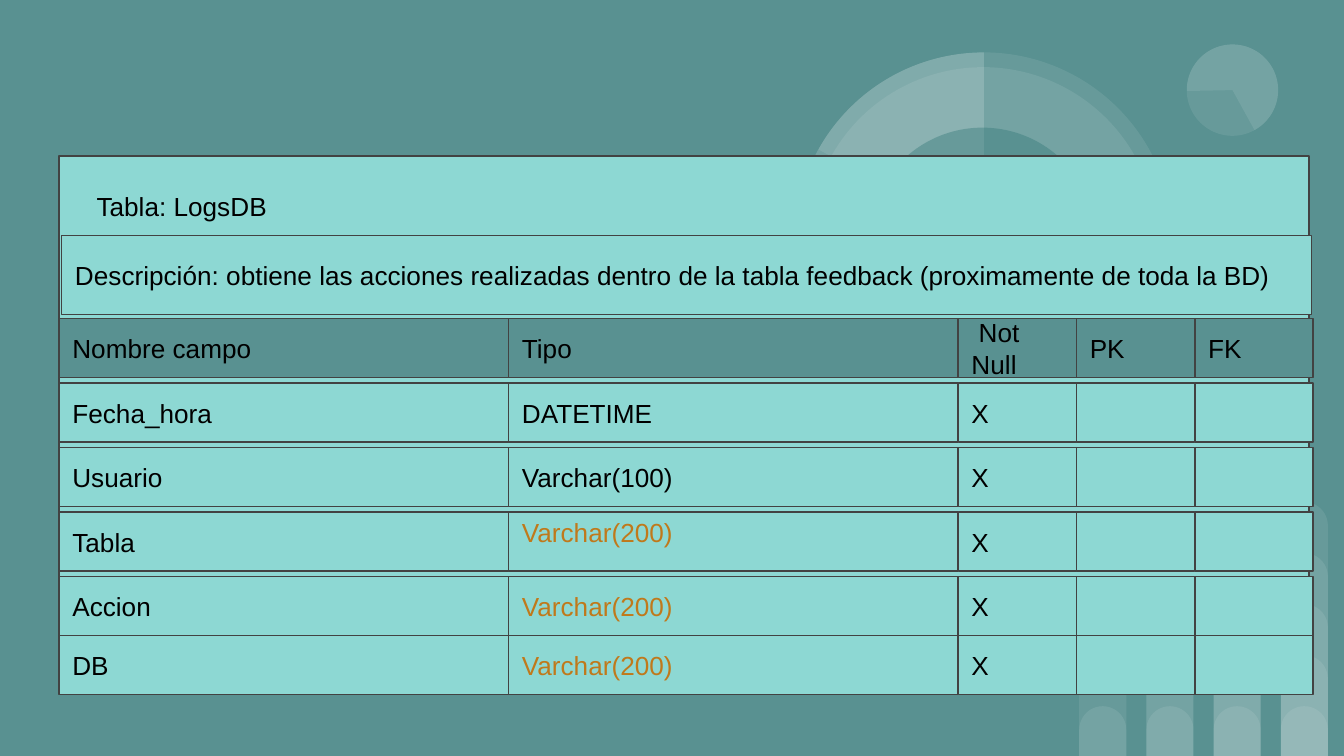
from lxml import etree
from pptx import Presentation
from pptx.dml.color import RGBColor
from pptx.enum.shapes import MSO_SHAPE
from pptx.enum.text import MSO_ANCHOR, MSO_AUTO_SIZE, PP_ALIGN
from pptx.oxml.ns import qn
from pptx.util import Inches, Pt

RECT = MSO_SHAPE.RECTANGLE
OVAL = MSO_SHAPE.OVAL
PIE = MSO_SHAPE.PIE
ROUND_TOP = MSO_SHAPE.ROUND_2_SAME_RECTANGLE
TOP, MIDDLE = MSO_ANCHOR.TOP, MSO_ANCHOR.MIDDLE
LEFT = PP_ALIGN.LEFT
NO_AUTOFIT, GROW = MSO_AUTO_SIZE.NONE, MSO_AUTO_SIZE.SHAPE_TO_FIT_TEXT

COLORS = {
    "background": "599191",
    "panel": "8DD8D3",
    "border": "424242",
    "text": "000000",
    "accent": "C0791B",
    "glow": "FFFFFF",
}

slide_width = 10
slide_height = slide_width * 9 / 16
prs = Presentation()
prs.slide_width = Inches(slide_width)
prs.slide_height = Inches(slide_height)
slide = prs.slides.add_slide(prs.slide_layouts[6])
slide.background.fill.solid()
slide.background.fill.fore_color.rgb = RGBColor.from_string(COLORS["background"])


def add_box(kind, left, top, width, height, fill="panel", border=None,
            opacity=None, adjust=(), rotation=0):
    box = slide.shapes.add_shape(
        kind, Inches(left), Inches(top), Inches(width), Inches(height))
    box.shadow.inherit = False
    box.rotation = rotation
    for index, value in enumerate(adjust):
        box.adjustments[index] = value
    box.fill.solid()
    box.fill.fore_color.rgb = RGBColor.from_string(COLORS[fill])
    if opacity:
        color = box.fill._xPr.find(qn("a:solidFill"))[0]
        etree.SubElement(color, qn("a:alpha"), val=str(opacity * 1000))
    if border:
        box.line.color.rgb = RGBColor.from_string(COLORS[border])
        box.line.width = Pt(0.75)
    else:
        box.line.fill.background()
    return box


def write(box, text, size=14, color="text", anchor=MIDDLE, inset_top=0.1,
          fit=NO_AUTOFIT):
    frame = box.text_frame
    frame.word_wrap = True
    frame.auto_size = fit
    frame.vertical_anchor = anchor
    frame.margin_left = frame.margin_right = frame.margin_bottom = Inches(0.1)
    frame.margin_top = Inches(inset_top)
    paragraph = frame.paragraphs[0]
    paragraph.alignment = LEFT
    run = paragraph.add_run()
    run.text = text
    run.font.name = "Arial"
    run.font.size = Pt(size)
    run.font.color.rgb = RGBColor.from_string(COLORS[color])


for column in range(4):
    for level in range(column + 2):
        bar_height = 0.37 + 0.38 * level
        add_box(ROUND_TOP, 8.03 + 0.5 * column, slide_height - bar_height,
                0.35, bar_height, fill="glow", opacity=9, adjust=(0.5, 0))

rings = [
    (OVAL, 8.83, 0.33, 0.68, "glow", 9, (), 215.9),
    (PIE, 8.83, 0.33, 0.68, "glow", 9, (193.77, 123.14), 215.9),
    (OVAL, 5.91, 0.39, 2.82, "glow", 9, (), 0),
    (OVAL, 6.02, 0.5, 2.59, "glow", 9, (), 34.1),
    (PIE, 5.91, 0.39, 2.82, "glow", 9, (88.01, 162), 0),
    (OVAL, 6.46, 0.95, 1.7, "background", None, (), 34.1),
    (PIE, 5.91, 0.39, 2.82, "glow", 9, (125.54, 162), 0),
]
for kind, left, top, diameter, fill, opacity, adjust, rotation in rings:
    add_box(kind, left, top, diameter, diameter, fill=fill, opacity=opacity,
            adjust=adjust, rotation=rotation)

add_box(RECT, 0.44, 1.16, 9.3, 3.9, border="border")

table_name = slide.shapes.add_textbox(
    Inches(0.62), Inches(1.32), Inches(8.03), Inches(0.44))
write(table_name, "Tabla: LogsDB", anchor=TOP, fit=GROW)

first_left, flags_left, flag_width = 0.44, 7.13, 0.88
wide = (flags_left - first_left) / 2
columns = [(first_left + wide * i, wide) for i in range(2)]
columns += [(flags_left + flag_width * i, flag_width) for i in range(3)]

accent = {"color": "accent"}
raised = {"color": "accent", "anchor": TOP, "inset_top": 0.03}
header = (2.37, ["Nombre campo", "Tipo", " Not Null", "PK", "FK"], "background", {})
description = (1.75, "Descripción: obtiene las acciones realizadas dentro de la "
                     "tabla feedback (proximamente de toda la BD)")
rows = [
    header,
    (2.85, ["Fecha_hora", "DATETIME", "X", "", ""], "panel", {}),
    (3.33, ["Usuario", "Varchar(100)", "X", "", ""], "panel", {}),
    (3.81, ["Tabla", "Varchar(200)", "X", "", ""], "panel", raised),
    (4.29, ["Accion", "Varchar(200)", "X", "", ""], "panel", accent),
    (4.73, ["DB", "Varchar(200)", "X", "", ""], "panel", accent),
]
for row in rows:
    top, values, fill, type_format = row
    for index, ((left, width), value) in enumerate(zip(columns, values)):
        field = add_box(RECT, left, top, width, 0.44, fill=fill, border="border")
        if value:
            write(field, value, **(type_format if index == 1 else {}))
    if row is header:
        description_top, description_text = description
        summary = add_box(RECT, 0.46, description_top, 9.3, 0.59, border="border")
        write(summary, description_text)

prs.save("out.pptx")
